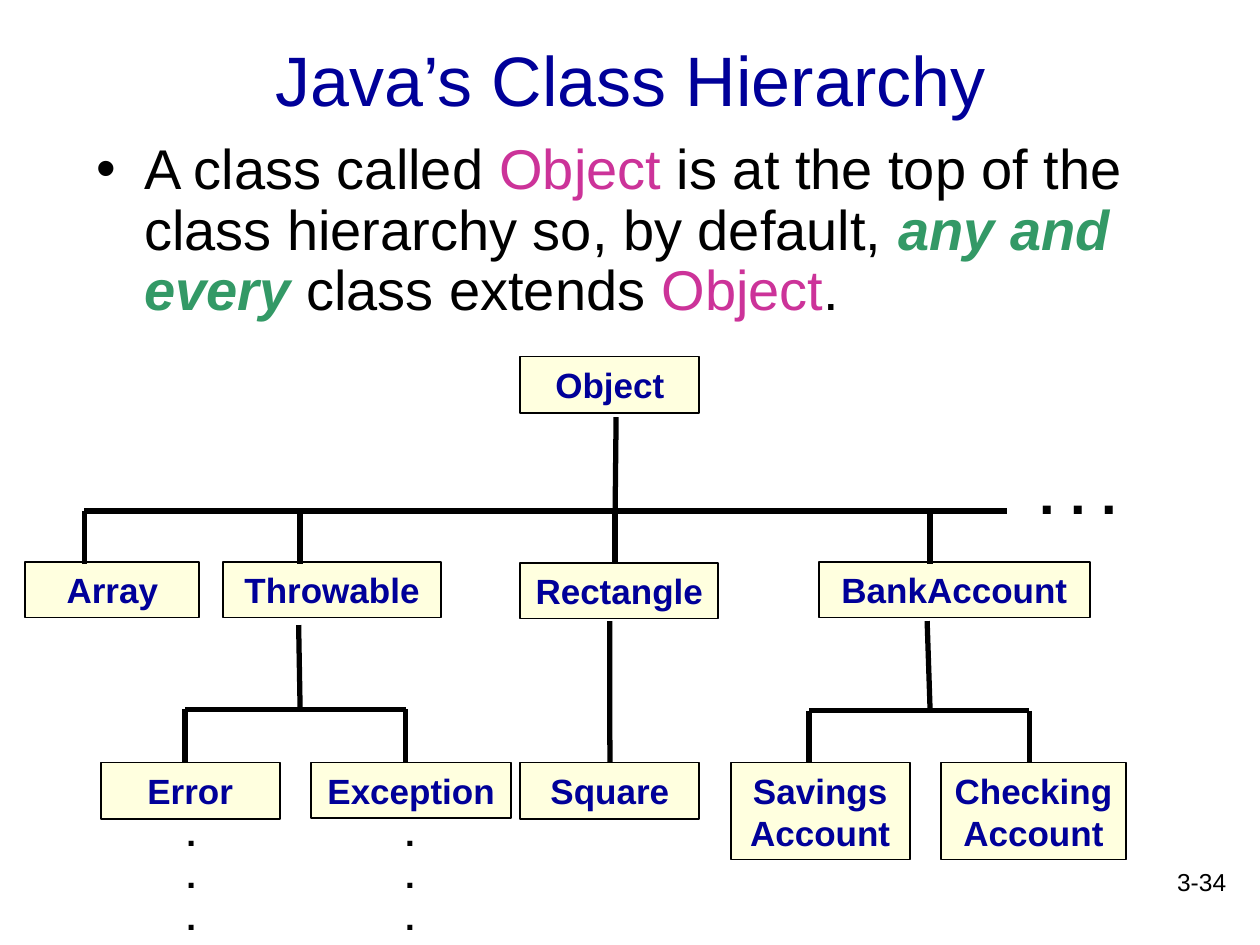
from dataclasses import dataclass

from lxml import etree
from pptx import Presentation
from pptx.dml.color import RGBColor
from pptx.enum.shapes import MSO_CONNECTOR, MSO_SHAPE
from pptx.enum.text import MSO_ANCHOR, MSO_AUTO_SIZE, PP_ALIGN
from pptx.oxml.ns import qn
from pptx.shapes.autoshape import Shape
from pptx.shapes.connector import Connector
from pptx.slide import Slide
from pptx.text.text import Font
from pptx.util import Cm, Pt

RECT = MSO_SHAPE.RECTANGLE
LINE = MSO_CONNECTOR.STRAIGHT
MIDDLE, TOP = MSO_ANCHOR.MIDDLE, MSO_ANCHOR.TOP
LEFT, CENTER, RIGHT = PP_ALIGN.LEFT, PP_ALIGN.CENTER, PP_ALIGN.RIGHT
FIXED = MSO_AUTO_SIZE.NONE


@dataclass(frozen=True)
class Theme:
    face: str = "Arial"
    ink: str = "000000"
    navy: str = "000099"
    pink: str = "CC3399"
    green: str = "339966"
    cream: str = "FFFFDF"
    title: int = 40
    body: int = 32
    label: int = 20
    number: int = 14
    edge: int = 1
    branch: int = 3


@dataclass(frozen=True)
class Node:
    text: str
    left: float
    top: float
    width: float
    height: float = 1.12


@dataclass(frozen=True)
class Part:
    text: str
    color: str
    strong: bool = False


@dataclass(frozen=True)
class Stem:
    x1: float
    y1: float
    x2: float
    y2: float


@dataclass(frozen=True)
class Rail:
    left: float
    right: float
    y: float
    drops: tuple[float, ...]
    depth: float = 1.06


@dataclass(frozen=True)
class Note:
    text: str
    left: float
    top: float
    width: float
    height: float
    size: int
    bold: bool = True
    align: PP_ALIGN = LEFT
    wrap: bool = False


THEME = Theme()
LOW = 15.37

NODES = [
    Node("Object", 10.49, 7.19, 3.61, 1.14),
    Node("Array", 0.51, 11.33, 3.51),
    Node("Throwable", 4.5, 11.33, 4.39),
    Node("Rectangle", 10.49, 11.35, 3.99),
    Node("BankAccount", 16.51, 11.33, 5.46),
    Node("Error", 2.03, LOW, 3.61, 1.14),
    Node("Exception", 6.27, LOW, 4.04),
    Node("Square", 10.49, LOW, 3.61, 1.14),
    Node("Savings\vAccount", 14.73, LOW, 3.61, 1.96),
    Node("Checking\vAccount", 18.97, LOW, 3.73, 1.96),
]

RAILS = [
    Rail(1.7, 20.29, 10.3, (1.7, 6.05, 12.4, 18.75)),
    Rail(3.73, 8.18, 14.3, (3.73, 8.18)),
    Rail(16.31, 20.75, 14.33, (16.31, 20.75)),
]

STEMS = [
    Stem(12.42, 8.41, 12.4, 10.3),
    Stem(6.02, 12.6, 6.05, 14.3),
    Stem(18.69, 12.52, 18.75, 14.33),
]

PARTS = [
    Part("A class called ", THEME.ink),
    Part("Object", THEME.pink),
    Part(" is at the top of the class hierarchy so, by default, ", THEME.ink),
    Part("any and every ", THEME.green, True),
    Part("class extends ", THEME.ink),
    Part("Object", THEME.pink),
    Part(".", THEME.ink),
]

NOTES = [
    Note("3-34", 19.69, 17.35, 5.28, 1.27, THEME.number, False, RIGHT, True),
    Note(". . .", 20.7, 9.12, 2.08, 1.63, THEME.body),
    Note(".\n.\n.", 3.51, 16.23, 0.71, 2.82, THEME.label),
    Note(".\n.\n.", 7.92, 16.23, 0.97, 2.82, THEME.label),
]


def style(font: Font, size: int, color: str, bold: bool = False) -> None:
    font.name = THEME.face
    font.size = Pt(size)
    font.bold = bold
    font.color.rgb = RGBColor.from_string(color)


def fill_text(shape: Shape, text: str, size: int, color: str, bold: bool, align: PP_ALIGN) -> None:
    shape.text_frame.text = text
    for para in shape.text_frame.paragraphs:
        para.alignment = align
        for run in para.runs:
            style(run.font, size, color, bold)


def place(shape: Shape, left: float, top: float, width: float, height: float) -> None:
    shape.left, shape.top = Cm(left), Cm(top)
    shape.width, shape.height = Cm(width), Cm(height)


def draw_title(slide: Slide) -> None:
    title = slide.shapes.title
    place(title, 1.91, 0, 21.59, 3.18)
    title.text_frame.auto_size = FIXED
    title.text_frame.vertical_anchor = MIDDLE
    fill_text(title, "Java’s Class Hierarchy", THEME.title, THEME.navy, False, CENTER)


def draw_body(slide: Slide) -> None:
    body = slide.placeholders[1]
    place(body, 1.7, 2.72, 22.43, 13.97)
    body.text_frame.auto_size = FIXED
    body.text_frame.vertical_anchor = TOP
    para = body.text_frame.paragraphs[0]
    props = para._p.get_or_add_pPr()
    props.set("marL", str(Cm(0.95)))
    props.set("indent", str(Cm(-0.95)))
    etree.SubElement(props, qn("a:buChar")).set("char", "•")
    para.line_spacing = 0.9
    para.space_before = Pt(0)
    for part in PARTS:
        run = para.add_run()
        run.text = part.text
        style(run.font, THEME.body, part.color, part.strong)
        run.font.italic = part.strong


def draw_node(slide: Slide, node: Node) -> Shape:
    box = slide.shapes.add_shape(
        RECT, Cm(node.left), Cm(node.top), Cm(node.width), Cm(node.height))
    box.shadow.inherit = False
    box.fill.solid()
    box.fill.fore_color.rgb = RGBColor.from_string(THEME.cream)
    box.line.color.rgb = RGBColor.from_string(THEME.ink)
    box.line.width = Pt(THEME.edge)
    box.text_frame.word_wrap = False
    box.text_frame.vertical_anchor = MIDDLE
    fill_text(box, node.text, THEME.label, THEME.navy, True, CENTER)
    return box


def draw_stem(slide: Slide, stem: Stem) -> Connector:
    line = slide.shapes.add_connector(
        LINE, Cm(stem.x1), Cm(stem.y1), Cm(stem.x2), Cm(stem.y2))
    line.line.color.rgb = RGBColor.from_string(THEME.ink)
    line.line.width = Pt(THEME.branch)
    etree.SubElement(line._element.spPr, qn("a:effectLst"))
    return line


def draw_rail(slide: Slide, rail: Rail) -> None:
    draw_stem(slide, Stem(rail.right, rail.y, rail.left, rail.y))
    for x in rail.drops:
        draw_stem(slide, Stem(x, rail.y, x, rail.y + rail.depth))


def draw_note(slide: Slide, note: Note) -> None:
    box = slide.shapes.add_textbox(
        Cm(note.left), Cm(note.top), Cm(note.width), Cm(note.height))
    box.text_frame.word_wrap = note.wrap
    fill_text(box, note.text, note.size, THEME.ink, note.bold, note.align)


def main() -> None:
    deck = Presentation()
    deck.slide_width, deck.slide_height = Cm(25.4), Cm(19.05)
    slide = deck.slides.add_slide(deck.slide_layouts[1])
    draw_title(slide)
    draw_body(slide)
    boxes = {node.text: draw_node(slide, node) for node in NODES}
    for rail in RAILS:
        draw_rail(slide, rail)
    for stem in STEMS:
        draw_stem(slide, stem)
    square = draw_stem(slide, Stem(12.29, 12.52, 12.29, LOW))
    square.end_connect(boxes["Square"], 0)
    for note in NOTES:
        draw_note(slide, note)
    deck.save("out.pptx")


if __name__ == "__main__":
    main()
